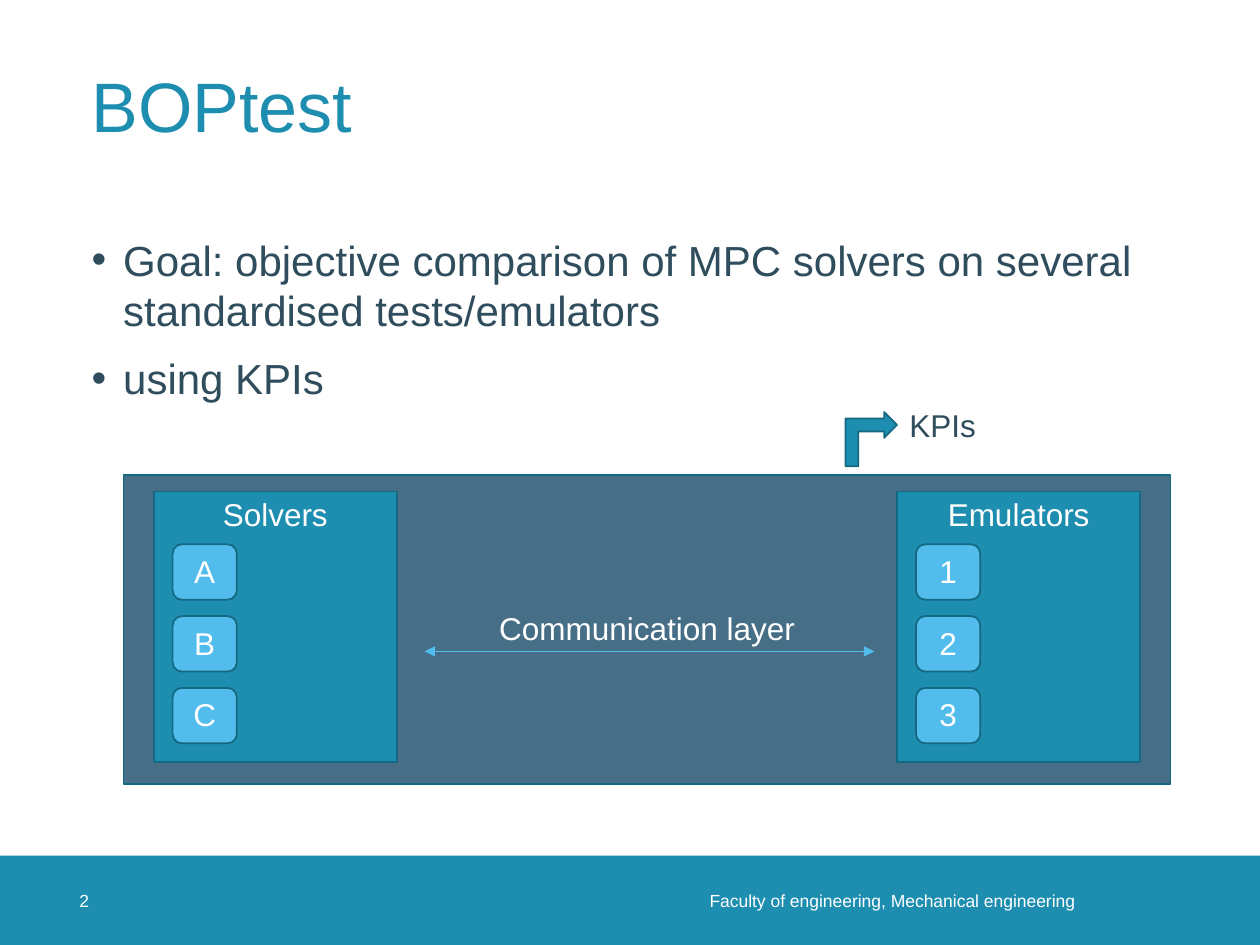
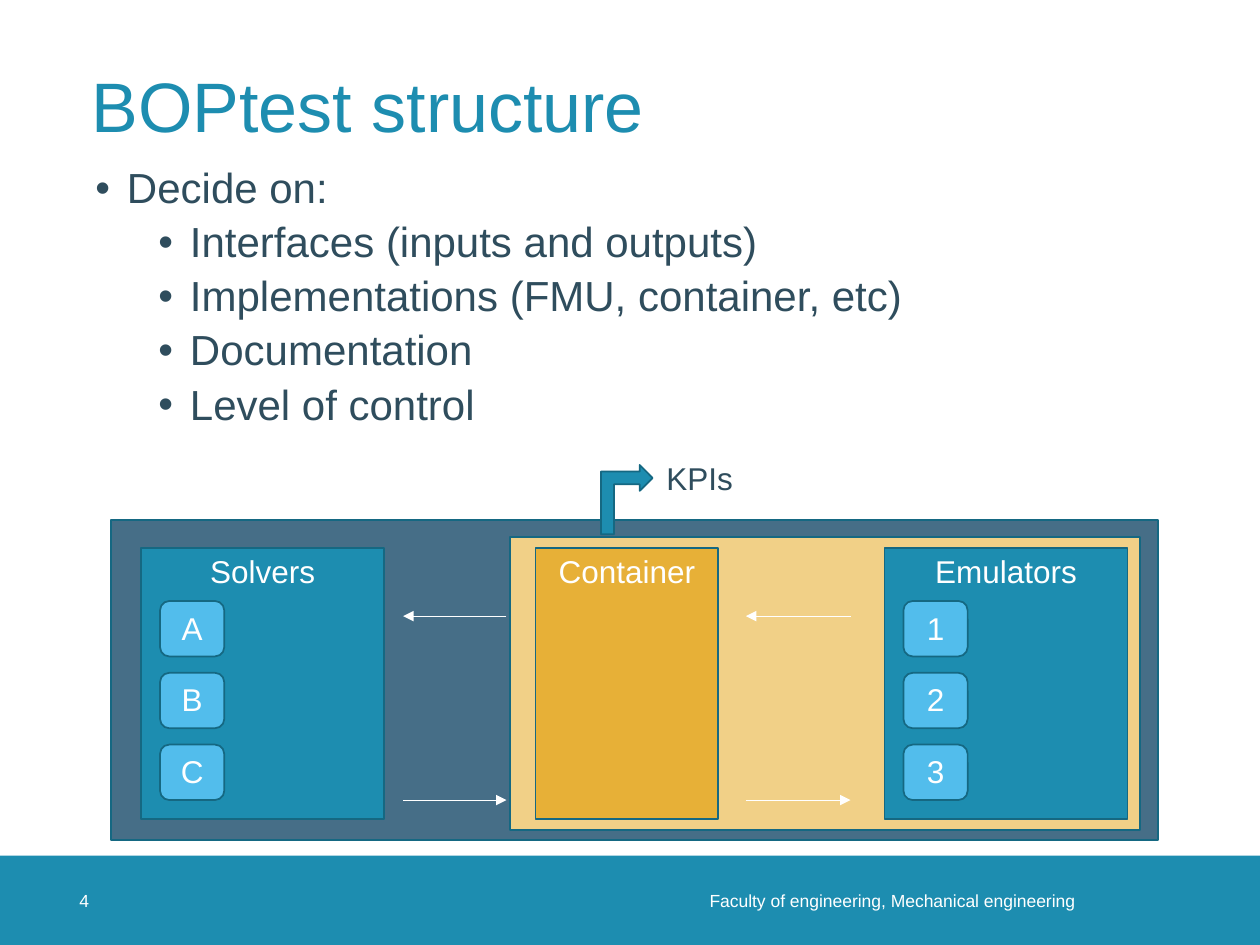
from lxml.etree import SubElement
from pptx import Presentation
from pptx.dml.color import RGBColor
from pptx.enum.shapes import MSO_CONNECTOR, MSO_SHAPE
from pptx.enum.text import MSO_ANCHOR, PP_ALIGN
from pptx.oxml.ns import qn
from pptx.util import Inches, Pt

TEAL = RGBColor(0x1D, 0x8D, 0xB0)
EDGE = RGBColor(0x15, 0x68, 0x82)
SLATE = RGBColor(0x46, 0x6E, 0x87)
SKY = RGBColor(0x52, 0xBD, 0xEC)
SAND = RGBColor(0xF1, 0xD0, 0x87)
AMBER = RGBColor(0xE7, 0xB0, 0x37)
INK = RGBColor(0x2F, 0x4D, 0x5D)
WHITE = RGBColor(0xFF, 0xFF, 0xFF)

FONT = "Arial"
FOOTER = "Faculty of engineering, Mechanical engineering"
BAND_TOP, BAND_HEIGHT = 6.79, 0.71
PANEL_WIDTH, PANEL_HEIGHT = 1.93, 2.15
SOLVERS = ("Solvers", "ABC", 0.24)
EMULATORS = ("Emulators", "123", 6.14)
TOKEN_WIDTH, TOKEN_HEIGHT, TOKEN_PITCH = 0.51, 0.44, 0.57
TOKEN_LEFT, TOKEN_TOP = 0.15, 0.42
SPACE_BEFORE = (10, 5)

SLIDES = [
    {
        "title": "BOPtest",
        "number": "2",
        "bullets": [
            (0, "Goal: objective comparison of MPC solvers on several standardised tests/emulators"),
            (0, "using KPIs"),
        ],
        "bullet_box": (0.63, 1.81, 8.74, 1.5),
        "line_spacing": 1.0,
        "frame": (0.98, 3.77, 8.31, 2.45),
        "frame_text": "Communication layer",
        "panel_top": 3.9,
        "boxes": [],
        "links": [(3.37, 5.17, 6.94, 5.17, SKY, ("headEnd", "tailEnd"))],
        "kpi_arrow": (6.7, 3.28, 0.43, 0.41),
        "kpi_label": (7.12, 3.17, 0.73, 0.4),
    },
    {
        "title": "BOPtest structure",
        "number": "4",
        "bullets": [
            (0, "Decide on:"),
            (1, "Interfaces (inputs and outputs)"),
            (1, "Implementations (FMU, container, etc)"),
            (1, "Documentation"),
            (1, "Level of control"),
        ],
        "bullet_box": (0.66, 1.28, 8.74, 2.34),
        "line_spacing": 0.9,
        "frame": (0.88, 4.13, 8.31, 2.54),
        "frame_text": "",
        "panel_top": 4.35,
        "boxes": [
            ((4.05, 4.26, 5, 2.33), SAND, ""),
            ((4.25, 4.35, 1.45, PANEL_HEIGHT), AMBER, "Container"),
        ],
        "links": [
            link
            for left, right in ((3.2, 4.02), (5.92, 6.75))
            for link in (
                (left, 6.35, right, 6.35, WHITE, ("tailEnd",)),
                (right, 4.89, left, 4.89, WHITE, ("tailEnd",)),
            )
        ],
        "kpi_arrow": (4.7, 3.76, 0.55, 0.41),
        "kpi_label": (5.19, 3.59, 0.73, 0.4),
    },
]


def inches(values):
    return [Inches(value) for value in values]


def set_attributes(target, values):
    for name, value in values.items():
        setattr(target, name, value)


def write(paragraph, text, size, color, align=PP_ALIGN.LEFT):
    paragraph.alignment = align
    run = paragraph.add_run()
    run.text = text
    set_attributes(run.font, {"name": FONT, "size": Pt(size)})
    run.font.color.rgb = color


def add_text(slide, box, text, size, color, align=PP_ALIGN.LEFT, **frame_format):
    text_frame = slide.shapes.add_textbox(*inches(box)).text_frame
    set_attributes(text_frame, {"word_wrap": True, **frame_format})
    write(text_frame.paragraphs[0], text, size, color, align)


def add_block(slide, kind, box, fill, text="", anchor=MSO_ANCHOR.MIDDLE, edge=EDGE):
    shape = slide.shapes.add_shape(kind, *inches(box))
    shape.shadow.inherit = False
    shape.fill.solid()
    shape.fill.fore_color.rgb = fill
    if edge is None:
        shape.line.fill.background()
    else:
        shape.line.color.rgb = edge
        shape.line.width = Pt(1)
    if text:
        set_attributes(shape.text_frame, {"vertical_anchor": anchor, "margin_top": Inches(0.03)})
        write(shape.text_frame.paragraphs[0], text, 18, WHITE, PP_ALIGN.CENTER)
    return shape


def add_title(slide, text):
    title = slide.shapes.title
    left, top, width, height = inches((0.63, 0.24, 8.74, 1.26))
    set_attributes(title, {"left": left, "top": top, "width": width, "height": height})
    title.text_frame.vertical_anchor = MSO_ANCHOR.MIDDLE
    paragraph = title.text_frame.paragraphs[0]
    paragraph.line_spacing = 0.9
    write(paragraph, text, 40, TEAL)


def add_footer(slide, number):
    add_block(slide, MSO_SHAPE.RECTANGLE, (0, BAND_TOP, 10, BAND_HEIGHT), TEAL, edge=None)
    for left, width, text, align, margin in (
        (4.69, 4.04, FOOTER, PP_ALIGN.RIGHT, 0.2),
        (0.63, 0.71, number, PP_ALIGN.LEFT, 0),
    ):
        add_text(slide, (left, BAND_TOP, width, BAND_HEIGHT), text, 10, WHITE, align,
                 vertical_anchor=MSO_ANCHOR.MIDDLE, margin_left=0, margin_top=0,
                 margin_right=Inches(margin), margin_bottom=0)


def add_bullets(slide, box, bullets, line_spacing):
    text_frame = slide.shapes.add_textbox(*inches(box)).text_frame
    text_frame.word_wrap = True
    for index, (level, text) in enumerate(bullets):
        paragraph = text_frame.add_paragraph() if index else text_frame.paragraphs[0]
        set_attributes(paragraph, {
            "level": level,
            "line_spacing": line_spacing,
            "space_before": Pt(SPACE_BEFORE[level]),
        })
        write(paragraph, text, 24, INK)
        properties = paragraph._p.get_or_add_pPr()
        properties.set("marL", str(Inches(0.25 + 0.5 * level)))
        properties.set("indent", str(Inches(-0.25)))
        SubElement(properties, qn("a:buFont"), typeface=FONT)
        SubElement(properties, qn("a:buChar"), char="•")


def add_panel(slide, frame_left, top, panel):
    heading, tokens, offset = panel
    left = frame_left + offset
    add_block(slide, MSO_SHAPE.RECTANGLE, (left, top, PANEL_WIDTH, PANEL_HEIGHT), TEAL,
              heading, MSO_ANCHOR.TOP)
    for row, token in enumerate(tokens):
        token_top = top + TOKEN_TOP + row * TOKEN_PITCH
        add_block(slide, MSO_SHAPE.ROUNDED_RECTANGLE,
                  (left + TOKEN_LEFT, token_top, TOKEN_WIDTH, TOKEN_HEIGHT), SKY, token)


def add_link(slide, link):
    *ends, color, arrowheads = link
    connector = slide.shapes.add_connector(MSO_CONNECTOR.STRAIGHT, *inches(ends))
    connector.line.color.rgb = color
    connector.line.width = Pt(0.5)
    for arrowhead in arrowheads:
        SubElement(connector.line._get_or_add_ln(), qn("a:" + arrowhead), type="triangle")
    SubElement(connector._element.spPr, qn("a:effectLst"))


def add_kpi_output(slide, arrow_box, label_box):
    arrow = add_block(slide, MSO_SHAPE.BENT_UP_ARROW, arrow_box, TEAL)
    arrow.rotation = 90
    arrow._element.spPr.find(qn("a:xfrm")).set("flipH", "1")
    add_text(slide, label_box, "KPIs", 18, INK, word_wrap=False)


def build_slide(presentation, content):
    slide = presentation.slides.add_slide(presentation.slide_layouts[5])
    add_footer(slide, content["number"])
    add_title(slide, content["title"])
    add_bullets(slide, content["bullet_box"], content["bullets"], content["line_spacing"])
    add_block(slide, MSO_SHAPE.RECTANGLE, content["frame"], SLATE, content["frame_text"])
    for box, fill, heading in content["boxes"]:
        add_block(slide, MSO_SHAPE.RECTANGLE, box, fill, heading, MSO_ANCHOR.TOP)
    for panel in (EMULATORS, SOLVERS):
        add_panel(slide, content["frame"][0], content["panel_top"], panel)
    for link in content["links"]:
        add_link(slide, link)
    add_kpi_output(slide, content["kpi_arrow"], content["kpi_label"])


def main():
    presentation = Presentation()
    set_attributes(presentation, {"slide_width": Inches(10), "slide_height": Inches(7.5)})
    for content in SLIDES:
        build_slide(presentation, content)
    presentation.save("out.pptx")


if __name__ == "__main__":
    main()
